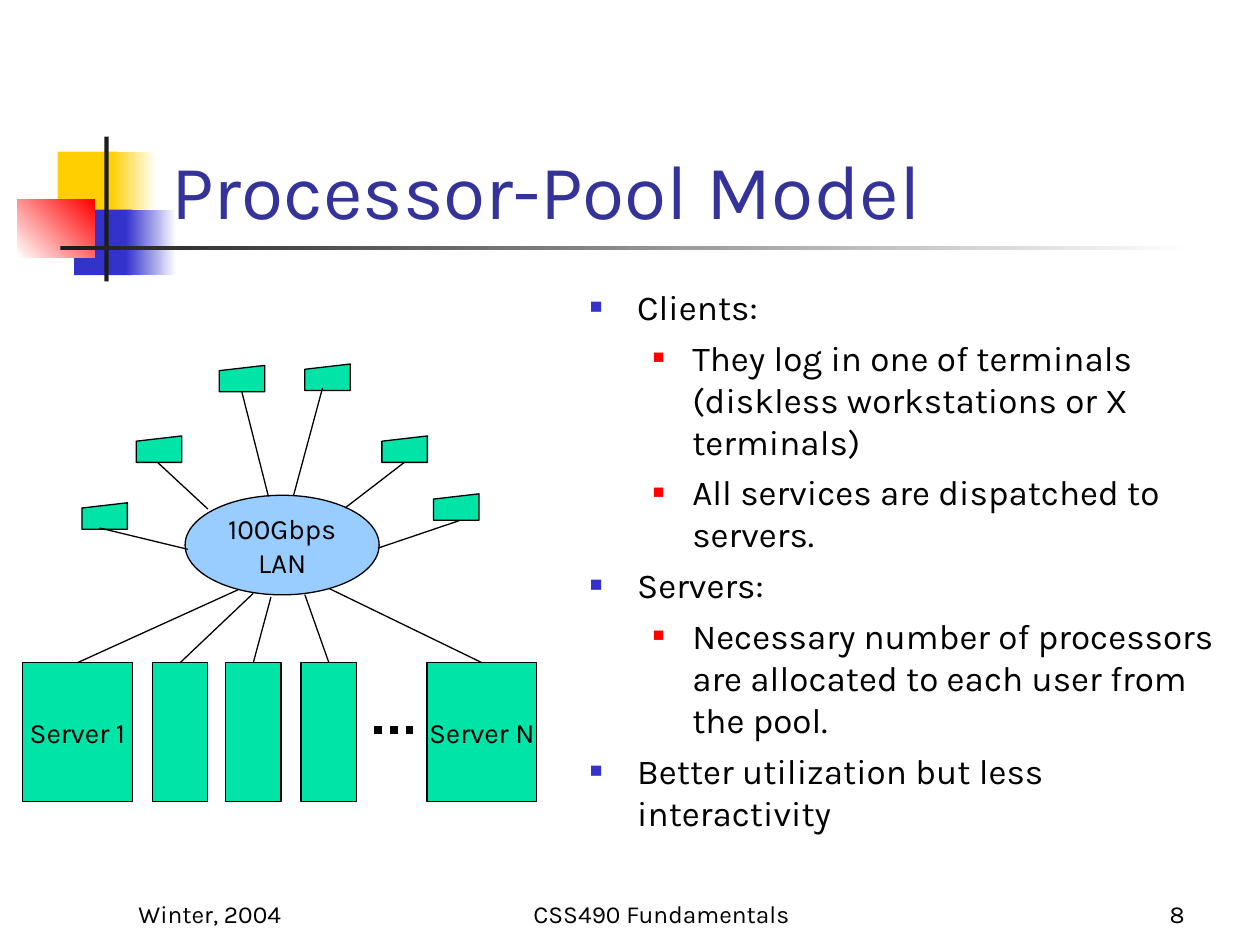
from lxml.etree import SubElement
from pptx import Presentation
from pptx.dml.color import RGBColor
from pptx.enum.dml import MSO_LINE as Dash
from pptx.enum.shapes import MSO_CONNECTOR as Conn, MSO_SHAPE as Kind
from pptx.enum.text import MSO_ANCHOR as Anchor, PP_ALIGN as Align
from pptx.oxml.ns import qn
from pptx.util import Pt

FONT = "Karla"
BLACK = RGBColor(0x00, 0x00, 0x00)
WHITE = RGBColor(0xFF, 0xFF, 0xFF)
GOLD = RGBColor(0xFF, 0xCF, 0x01)
BLUE = RGBColor(0x33, 0x33, 0xCC)
RED = RGBColor(0xFF, 0x00, 0x00)
DARK = RGBColor(0x1C, 0x1C, 0x1C)
NAVY = RGBColor(0x33, 0x33, 0x99)
GREEN = RGBColor(0x00, 0xE4, 0xA8)
SKY = RGBColor(0x99, 0xCC, 0xFF)

# Bullet colour, bullet size in percent, left margin and hanging indent by level
LEVELS = [(BLUE, 60, 27, 27), (RED, 55, 58.5, 22.5)]

POINTS = [
    (0, "Clients:"),
    (1, "They log in one of terminals (diskless workstations or X terminals)"),
    (1, "All services are dispatched to servers."),
    (0, "Servers:"),
    (1, "Necessary number of processors are allocated to each user from the pool."),
    (0, "Better utilization but less interactivity"),
]

# Terminal corner, link start at the terminal, link end at the LAN
CLIENTS = [
    ((33.8, 79.3), (43.9, 93.7), (94.3, 105.9)),
    ((64.8, 41.1), (77, 56.2), (105.8, 82.9)),
    ((112.3, 0.8), (125.2, 15.9), (140.4, 75.7)),
    ((161.2, 0), (171.3, 13.8), (154.8, 75)),
    ((205.2, 41.1), (218.1, 56.2), (184.3, 82.2)),
    ((234.7, 74.2), (249.8, 89.4), (203, 105.2)),
]

# Server left edge, width, label, link start at the LAN
SERVERS = [
    (0, 62.6, "Server 1", (123.1, 129)),
    (74.1, 31.7, "", (131.7, 131.1)),
    (115.9, 31.7, "", (141.8, 133.3)),
    (159.1, 31.7, "", (161.2, 131.8)),
    (231.1, 62.6, "Server N", (174.9, 128.2)),
]


def put_text(frame, lines, size=16, color=BLACK, align=Align.LEFT,
             anchor=Anchor.TOP, wrap=True, gap=0, levels=None):
    """Fill a text frame, with one bullet level per line if levels are given."""
    frame.word_wrap = wrap
    frame.vertical_anchor = anchor
    for i, line in enumerate(lines):
        para = frame.paragraphs[0] if i == 0 else frame.add_paragraph()
        if levels:
            add_mark(para, levels[i])
        para.alignment = align
        if i:
            para.space_before = Pt(gap)
        run = para.add_run()
        run.text = line
        run.font.name = FONT
        run.font.size = Pt(size)
        run.font.color.rgb = color


def add_mark(para, level):
    color, size, left, hang = LEVELS[level]
    para.level = level
    props = para._p.get_or_add_pPr()
    props.set("marL", str(Pt(left)))
    props.set("indent", str(-Pt(hang)))
    tint = SubElement(props, qn("a:buClr"))
    SubElement(tint, qn("a:srgbClr"), val=str(color))
    SubElement(props, qn("a:buSzPct"), val=str(size * 1000))
    SubElement(props, qn("a:buFont"), typeface="Arial")
    SubElement(props, qn("a:buChar"), char="■")


def add_text(slide, box, lines, **style):
    area = slide.shapes.add_textbox(*map(Pt, box))
    put_text(area.text_frame, lines, **style)


def add_form(slide, kind, box, fill, edge=True):
    form = slide.shapes.add_shape(kind, *map(Pt, box))
    form.shadow.inherit = False
    form.fill.solid()
    form.fill.fore_color.rgb = fill
    if edge:
        form.line.color.rgb = BLACK
        form.line.width = Pt(0.75)
    else:
        form.line.fill.background()
    return form


def add_fade(slide, box, first, last, angle=0):
    form = add_form(slide, Kind.RECTANGLE, box, first, edge=False)
    form.fill.gradient()
    form.fill.gradient_angle = angle
    for stop, color, place in zip(form.fill.gradient_stops, (first, last), (0, 1)):
        stop.color.rgb = color
        stop.position = place


def add_line(slide, start, end, width=0.75):
    line = slide.shapes.add_connector(Conn.STRAIGHT, *map(Pt, (*start, *end)))
    line.line.color.rgb = BLACK
    line.line.width = Pt(width)
    SubElement(line._element.spPr, qn("a:effectLst"))
    return line


def draw_motif(slide, left, top):
    def at(x, y, wide, high):
        return left + x, top + y, wide, high

    def block(box, fill):
        add_form(slide, Kind.RECTANGLE, box, fill, edge=False)

    block(at(23, 8.6, 34.6, 37.4), GOLD)
    add_fade(slide, at(53.3, 8.6, 25.9, 37.4), GOLD, WHITE)
    block(at(32.4, 41.8, 33.1, 37.4), BLUE)
    add_fade(slide, at(62, 41.8, 28.8, 37.4), BLUE, WHITE)
    add_fade(slide, at(0, 36, 44, 33.1), WHITE, RED, angle=45)
    block(at(49.7, 0, 2.4, 82.8), DARK)
    add_fade(slide, at(24.5, 62.4, 648, 2.5), DARK, WHITE)


def draw_pool(slide, left, top):
    """Draw terminals above, the LAN in the middle and servers below."""
    def at(x, y, *size):
        return left + x, top + y, *size

    lan = add_form(slide, Kind.OVAL, at(92.8, 75, 110.9, 56.9), SKY)
    put_text(lan.text_frame, ["100Gbps", "LAN"], align=Align.CENTER,
             anchor=Anchor.MIDDLE, wrap=False)
    for spot, start, end in CLIENTS:
        add_form(slide, Kind.FLOWCHART_MANUAL_INPUT, at(*spot, 26, 15.1), GREEN)
        add_line(slide, at(*start), at(*end))
    for x, wide, label, start in SERVERS:
        server = add_form(slide, Kind.RECTANGLE, at(x, 170.7, wide, 79.2), GREEN)
        if label:
            put_text(server.text_frame, [label], align=Align.CENTER,
                     anchor=Anchor.MIDDLE, wrap=False)
        link = add_line(slide, at(*start), at(x + wide / 2, 170.7))
        link.end_connect(server, 0)
    dots = add_line(slide, at(200.8, 208.9), at(223.2, 208.9), width=4.5)
    dots.line.dash_style = Dash.ROUND_DOT


def draw_points(slide, box):
    levels, lines = zip(*POINTS)
    add_text(slide, box, lines, size=20, gap=5, levels=levels)


def draw_footer(slide, left, top):
    for x, wide, text, align in [(0, 150, "Winter, 2004", Align.LEFT),
                                 (192, 228, "CSS490 Fundamentals", Align.CENTER),
                                 (462, 150, "8", Align.RIGHT)]:
        add_text(slide, (left + x, top, wide, 36), [text], size=14,
                 align=align, anchor=Anchor.BOTTOM)


def main():
    deck = Presentation()
    deck.slide_width, deck.slide_height = Pt(720), Pt(540)
    slide = deck.slides.add_slide(deck.slide_layouts[6])
    draw_motif(slide, 10, 78)
    draw_footer(slide, 72, 498)
    add_text(slide, (90.7, 48, 613.4, 90), ["Processor-Pool Model"],
             size=44, color=NAVY, anchor=Anchor.BOTTOM)
    draw_points(slide, (330, 159.5, 375, 327))
    draw_pool(slide, 13, 208)
    deck.save("out.pptx")


if __name__ == "__main__":
    main()
